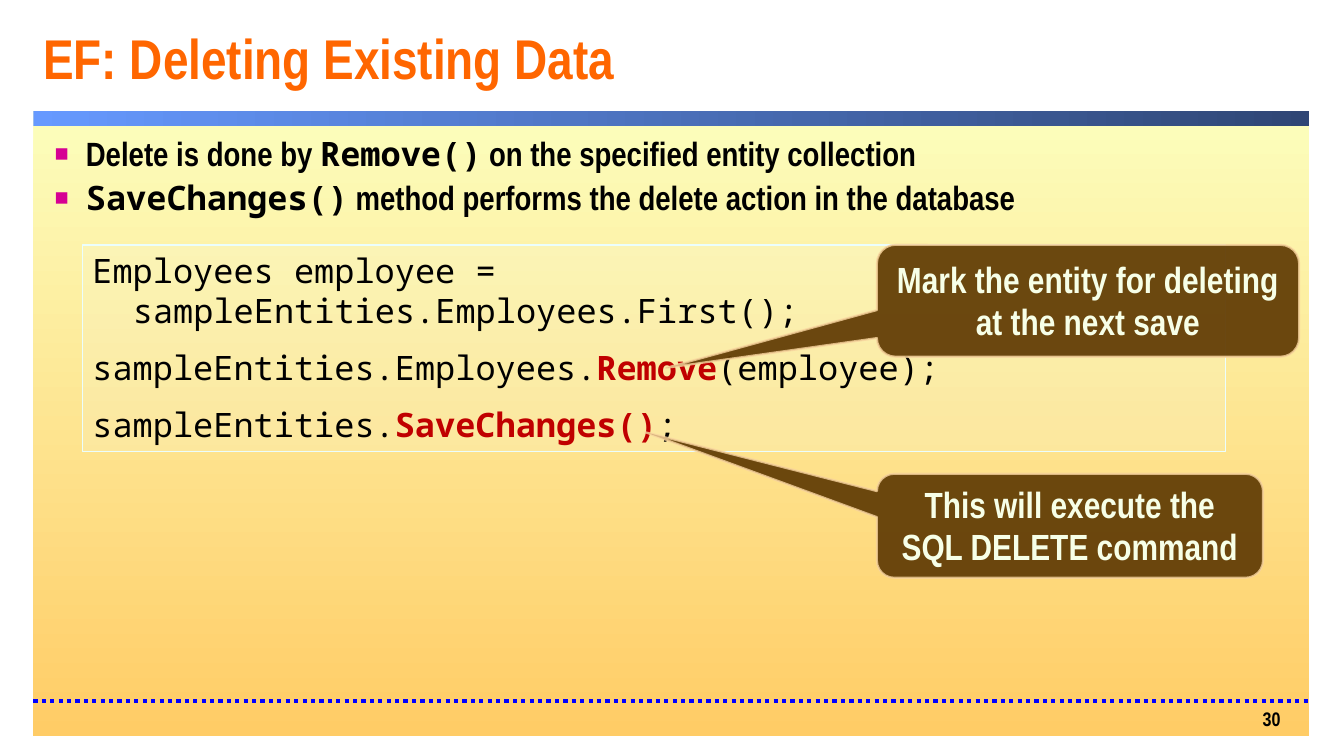
from lxml.etree import SubElement
from pptx import Presentation
from pptx.dml.color import RGBColor
from pptx.enum.dml import MSO_LINE
from pptx.enum.shapes import MSO_CONNECTOR, MSO_SHAPE
from pptx.enum.text import MSO_ANCHOR, MSO_AUTO_SIZE, PP_ALIGN
from pptx.oxml.ns import qn
from pptx.util import Cm, Pt

BLACK = RGBColor(0x00, 0x00, 0x00)
ORANGE = RGBColor(0xFF, 0x66, 0x00)
PANEL_TOP = RGBColor(0xFC, 0xFE, 0xBC)
PANEL_BOTTOM = RGBColor(0xFF, 0xCC, 0x66)
BAND_LEFT = RGBColor(0x66, 0x99, 0xFF)
BAND_RIGHT = RGBColor(0x2F, 0x46, 0x75)
DOT_BLUE = RGBColor(0x00, 0x00, 0xFF)
BULLET_PINK = RGBColor(0xD6, 0x00, 0x93)
CODE_FILL = RGBColor(0xF1, 0xFF, 0xFD)
CODE_EDGE = RGBColor(0xEB, 0xFE, 0xFD)
KEYWORD_RED = RGBColor(0xC0, 0x00, 0x00)
CALLOUT_FILL = RGBColor(0x64, 0x3F, 0x07)
CALLOUT_EDGE = RGBColor(0xF8, 0xD4, 0x9E)
CALLOUT_TEXT = RGBColor(0xF7, 0xFF, 0xE7)
SANS, MONO = "Arial Narrow", "Noto Sans Mono"


def apply(target, formats):
    """Set every attribute named in the dict on the target."""
    for name, value in formats.items():
        setattr(target, name, value)


def place(part, box):
    """Move a part to a (left, top, width, height) box."""
    apply(part, dict(zip(("left", "top", "width", "height"), box)))


def write(paragraph, text, size, color, font=SANS, bold=True):
    """Add one formatted run to a paragraph."""
    run = paragraph.add_run()
    run.text = text
    apply(run.font, {"size": Pt(size), "name": font, "bold": bold})
    run.font.color.rgb = color


def paragraphs(frame, count):
    """Return the given number of paragraphs of a text frame."""
    return [frame.paragraphs[0]] + [frame.add_paragraph() for _ in range(count - 1)]


def set_opacity(color_format, percent):
    """Make a solid fill or line colour partly transparent."""
    color = color_format._xPr.find(qn("a:solidFill"))[0]
    SubElement(color, qn("a:alpha"), val=str(percent * 1000))


def add_panel(shapes, kind, box, fill, opacity, edge, edge_width):
    """Add a translucent outlined shape without shadow."""
    panel = shapes.add_shape(kind, *box)
    panel.shadow.inherit = False
    panel.fill.solid()
    panel.fill.fore_color.rgb = fill
    set_opacity(panel.fill, opacity)
    panel.line.color.rgb = edge
    panel.line.width = Pt(edge_width)
    panel.text_frame.word_wrap = True
    return panel


def add_gradient(shapes, box, colors, angle):
    """Add a borderless rectangle with a two-colour gradient."""
    area = shapes.add_shape(MSO_SHAPE.RECTANGLE, *box)
    area.shadow.inherit = False
    area.line.fill.background()
    area.fill.gradient()
    area.fill.gradient_angle = angle
    for stop, color, position in zip(area.fill.gradient_stops, colors, (0, 1)):
        stop.color.rgb = color
        stop.position = position


def add_backdrop(shapes, box, page):
    """Draw the content panel, its top band, the dotted rule and the page number."""
    left, top, width, height = box
    rule_top = top + height - Cm(0.87)
    add_gradient(shapes, box, (PANEL_TOP, PANEL_BOTTOM), 270)
    add_gradient(shapes, (left, top, width, Cm(0.38)), (BAND_LEFT, BAND_RIGHT), 0)
    rule = shapes.add_connector(MSO_CONNECTOR.STRAIGHT, left, rule_top, left + width, rule_top)
    apply(rule.line, {"width": Pt(3), "dash_style": MSO_LINE.ROUND_DOT})
    rule.line.color.rgb = DOT_BLUE
    SubElement(rule.element.spPr, qn("a:effectLst"))
    number = shapes.add_textbox(left + width - Cm(3.87), rule_top, Cm(3.39), Cm(0.87))
    apply(number.text_frame, {"word_wrap": True, "vertical_anchor": MSO_ANCHOR.MIDDLE,
                              "margin_top": 0, "margin_bottom": 0})
    paragraph = number.text_frame.paragraphs[0]
    paragraph.alignment = PP_ALIGN.RIGHT
    write(paragraph, page, 14, BLACK)


def fill_title(title, box, text):
    """Place and write the slide title."""
    place(title, box)
    apply(title.text_frame, {"vertical_anchor": MSO_ANCHOR.MIDDLE,
                             "auto_size": MSO_AUTO_SIZE.NONE})
    paragraph = title.text_frame.paragraphs[0]
    apply(paragraph, {"alignment": PP_ALIGN.LEFT, "line_spacing": 0.8})
    write(paragraph, text, 40, ORANGE)


def fill_points(body, box, points):
    """Place the body and write its bulleted points of (text, font) pieces."""
    place(body, box)
    body.text_frame.auto_size = MSO_AUTO_SIZE.NONE
    for paragraph, pieces in zip(paragraphs(body.text_frame, len(points)), points):
        apply(paragraph, {"space_before": Pt(1.2), "space_after": Pt(1.2)})
        properties = paragraph._p.get_or_add_pPr()
        properties.set("marL", str(Cm(0.79)))
        properties.set("indent", str(-Cm(0.79)))
        bullet_color = SubElement(properties, qn("a:buClr"))
        SubElement(bullet_color, qn("a:srgbClr"), val=str(BULLET_PINK))
        SubElement(properties, qn("a:buSzPct"), val="70000")
        SubElement(properties, qn("a:buFont"), typeface="Arial")
        SubElement(properties, qn("a:buChar"), char="■")
        for text, font in pieces:
            write(paragraph, text, 24, BLACK, font)


def add_code(shapes, box, lines):
    """Add the code box; a line is (indent, space before, pieces)."""
    listing = add_panel(shapes, MSO_SHAPE.RECTANGLE, box, CODE_FILL, 15, CODE_EDGE, 1)
    frame = listing.text_frame
    frame.vertical_anchor = MSO_ANCHOR.TOP
    for paragraph, (indent, before, pieces) in zip(paragraphs(frame, len(lines)), lines):
        apply(paragraph, {"alignment": PP_ALIGN.LEFT, "space_before": Pt(before)})
        paragraph._p.get_or_add_pPr().set("marL", str(indent))
        for text, keyword in pieces:
            write(paragraph, text, 24, KEYWORD_RED if keyword else BLACK, MONO, keyword)


def add_callout(shapes, box, tip, text):
    """Add a rounded callout whose pointer ends at the relative tip."""
    callout = add_panel(shapes, MSO_SHAPE.ROUNDED_RECTANGULAR_CALLOUT, box,
                        CALLOUT_FILL, 95, CALLOUT_EDGE, 1.5)
    set_opacity(callout.line.fill, 80)
    for index, value in enumerate((*tip, 0.167)):
        callout.adjustments[index] = value
    callout.text_frame.vertical_anchor = MSO_ANCHOR.MIDDLE
    paragraph = callout.text_frame.paragraphs[0]
    apply(paragraph, {"alignment": PP_ALIGN.CENTER, "line_spacing": Pt(30)})
    write(paragraph, text, 26, CALLOUT_TEXT)


def build_slide(deck):
    """Build the slide about deleting existing data."""
    slide = deck.slides.add_slide(deck.slide_layouts[1])
    shapes = slide.shapes
    title, body = shapes.title, slide.placeholders[1]
    left, width = Cm(0.84), Cm(32.16)
    add_backdrop(shapes, (left, Cm(2.79), width, Cm(15.75)), "30")
    for holder in (body, title):
        holder.element.getparent().append(holder.element)
    fill_title(title, (left, Cm(0.43), width, Cm(2.34)), "EF: Deleting Existing Data")
    fill_points(body, (Cm(1.12), Cm(3.23), Cm(31.6), Cm(13.72)), [
        [("Delete is done by ", SANS), ("Remove()", MONO),
         (" on the specified entity collection", SANS)],
        [("SaveChanges()", MONO),
         (" method performs the delete action in the database", SANS)],
    ])
    code_top, callout_left = Cm(6.17), Cm(22.1)
    add_code(shapes, (Cm(2.08), code_top, Cm(28.8), Cm(5.21)), [
        (0, 0, [("Employees employee =", False)]),
        (Cm(1.02), 0, [("sampleEntities.Employees.First();", False)]),
        (0, 12, [("sampleEntities.Employees.", False), ("Remove", True),
                 ("(employee);", False)]),
        (0, 12, [("sampleEntities.", False), ("SaveChanges()", True), (";", False)]),
    ])
    add_callout(shapes, (callout_left, code_top, Cm(10.64), Cm(2.82)), (-1, 0.6),
                "Mark the entity for deleting at the next save")
    add_callout(shapes, (callout_left, Cm(11.94), Cm(9.73), Cm(2.62)), (-1.1, -0.9),
                "This will execute the SQL DELETE command")


def main():
    """Create and save the presentation."""
    deck = Presentation()
    apply(deck, {"slide_width": Cm(33.87), "slide_height": Cm(19.05)})
    build_slide(deck)
    deck.save("out.pptx")


if __name__ == "__main__":
    main()
